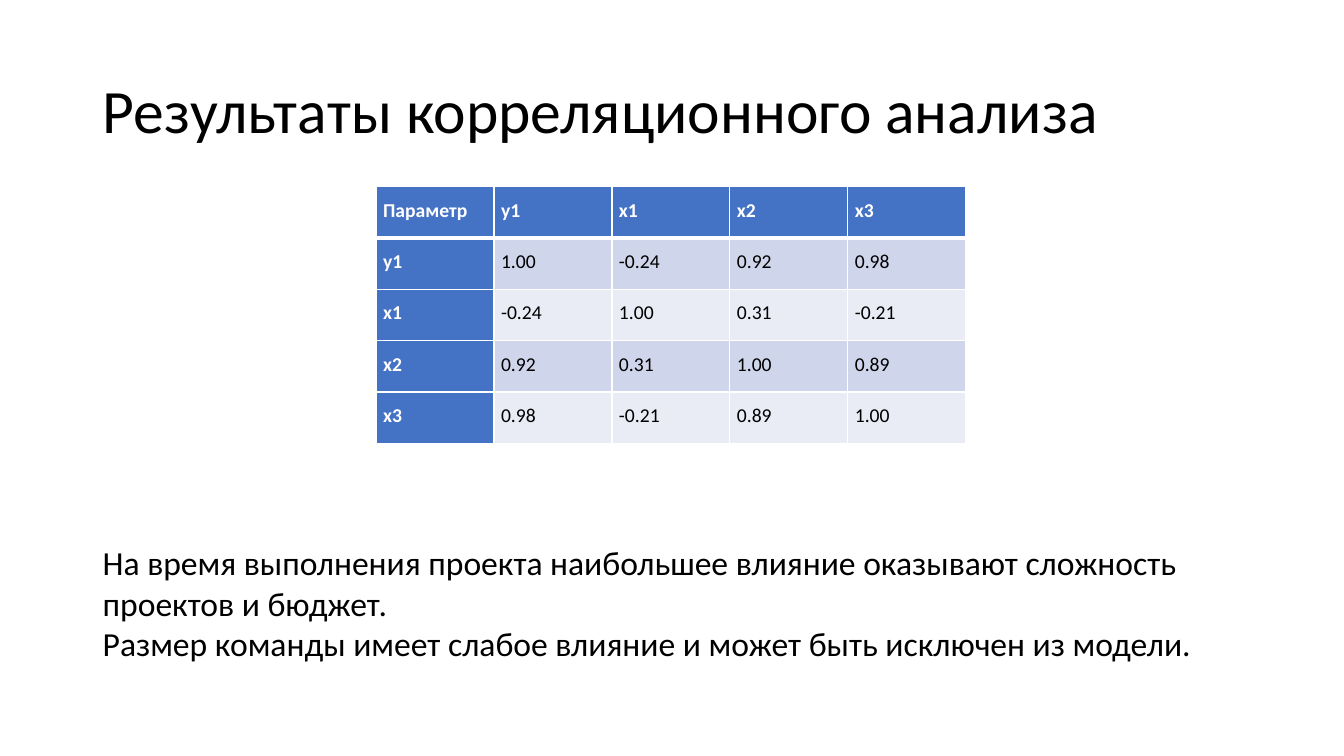
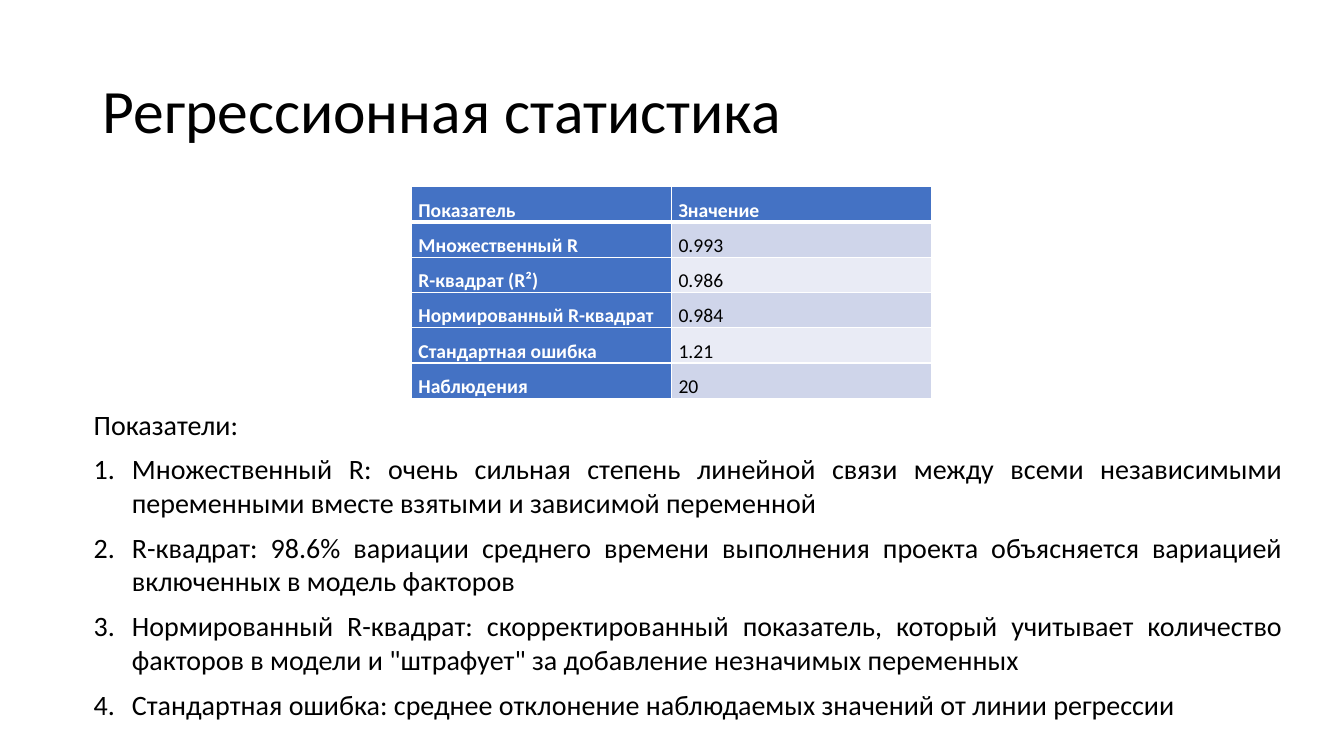
from dataclasses import dataclass

from lxml import etree
from pptx import Presentation
from pptx.dml.color import RGBColor
from pptx.enum.text import MSO_ANCHOR, MSO_AUTO_SIZE, PP_ALIGN
from pptx.oxml.ns import qn
from pptx.slide import Slide
from pptx.table import _Cell
from pptx.text.text import _Paragraph
from pptx.util import Inches, Length, Pt

FONT = "Calibri"
BLACK = RGBColor(0x00, 0x00, 0x00)
WHITE = RGBColor(0xFF, 0xFF, 0xFF)
HEADER_BLUE = RGBColor(0x44, 0x72, 0xC4)
BANDS = (RGBColor(0xCF, 0xD5, 0xEA), RGBColor(0xE9, 0xEB, 0xF5))
LEFT, JUSTIFY = PP_ALIGN.LEFT, PP_ALIGN.JUSTIFY
TOP, MIDDLE = MSO_ANCHOR.TOP, MSO_ANCHOR.MIDDLE
FIT_SHAPE, NO_FIT = MSO_AUTO_SIZE.SHAPE_TO_FIT_TEXT, MSO_AUTO_SIZE.NONE
BLANK_LAYOUT = 6
TABLE_TOP = Inches(1.85)
NUMBER_INDENT = Inches(0.38)
SPACE_AFTER = Pt(8)
THIN, THICK = Pt(1), Pt(3)


@dataclass(frozen=True)
class Box:
    left: Length
    top: Length
    width: Length
    height: Length


@dataclass(frozen=True)
class TextStyle:
    size: int
    color: RGBColor = BLACK
    bold: bool = False
    align: PP_ALIGN = LEFT
    line_spacing: float = 1.0
    space_after: Length = Pt(0)


@dataclass(frozen=True)
class StatTable:
    left: Length
    column_width: Length
    row_height: Length
    align: PP_ALIGN
    rows: tuple[tuple[str, ...], ...]


@dataclass(frozen=True)
class Comment:
    box: Box
    style: TextStyle
    lines: tuple[str, ...]
    numbered_from: int | None = None


@dataclass(frozen=True)
class StatSlide:
    title: str
    table: StatTable
    comment: Comment


TITLE_BOX = Box(Inches(0.92), Inches(0.4), Inches(11.5), Inches(1.45))
TITLE_STYLE = TextStyle(44, line_spacing=0.9)

SLIDES = (
    StatSlide(
        "Результаты корреляционного анализа",
        StatTable(Inches(3.73), Inches(1.17), Inches(0.51), LEFT, (
            ("Параметр", "y1", "x1", "x2", "x3"),
            ("y1", "1.00", "-0.24", "0.92", "0.98"),
            ("x1", "-0.24", "1.00", "0.31", "-0.21"),
            ("x2", "0.92", "0.31", "1.00", "0.89"),
            ("x3", "0.98", "-0.21", "0.89", "1.00"),
        )),
        Comment(
            Box(Inches(0.92), Inches(5.33), Inches(11.5), Inches(1.62)),
            TextStyle(24),
            (
                "На время выполнения проекта наибольшее влияние оказывают сложность "
                "проектов и бюджет.",
                "Размер команды имеет слабое влияние и может быть исключен из модели.",
            ),
        ),
    ),
    StatSlide(
        "Регрессионная статистика",
        StatTable(Inches(4.08), Inches(2.58), Inches(0.31), JUSTIFY, (
            ("Показатель", "Значение"),
            ("Множественный R", "0.993"),
            ("R-квадрат (R²)", "0.986"),
            ("Нормированный R-квадрат", "0.984"),
            ("Стандартная ошибка", "1.21"),
            ("Наблюдения", "20"),
        )),
        Comment(
            Box(Inches(0.83), Inches(3.99), Inches(11.99), Inches(3.24)),
            TextStyle(20, align=JUSTIFY, space_after=SPACE_AFTER),
            (
                "Показатели:",
                "Множественный R: очень сильная степень линейной связи между всеми "
                "независимыми переменными вместе взятыми и зависимой переменной",
                "R-квадрат: 98.6% вариации среднего времени выполнения проекта "
                "объясняется вариацией включенных в модель факторов",
                "Нормированный R-квадрат: скорректированный показатель, который "
                "учитывает количество факторов в модели и \"штрафует\" за добавление "
                "незначимых переменных",
                "Стандартная ошибка: среднее отклонение наблюдаемых значений от линии "
                "регрессии",
            ),
            numbered_from=1,
        ),
    ),
)


def write(paragraph: _Paragraph, text: str, style: TextStyle) -> None:
    paragraph.text = text
    paragraph.alignment = style.align
    paragraph.line_spacing = style.line_spacing
    paragraph.space_after = style.space_after
    font = paragraph.font
    font.name, font.size, font.bold = FONT, Pt(style.size), style.bold
    font.color.rgb = style.color


def number(paragraph: _Paragraph) -> None:
    """Make the paragraph an item of a 1. 2. 3. list with a hanging indent."""
    properties = paragraph._p.get_or_add_pPr()
    properties.set("marL", str(NUMBER_INDENT))
    properties.set("indent", str(-NUMBER_INDENT))
    bullet = etree.Element(qn("a:buAutoNum"), type="arabicPeriod")
    # Bullets come before the default run properties in the schema.
    run_defaults = properties.find(qn("a:defRPr"))
    if run_defaults is None:
        properties.append(bullet)
    else:
        run_defaults.addprevious(bullet)


def add_text(slide: Slide, box: Box, lines: tuple[str, ...], style: TextStyle,
             anchor: MSO_ANCHOR = TOP, fit: MSO_AUTO_SIZE = FIT_SHAPE,
             numbered_from: int | None = None) -> None:
    frame = slide.shapes.add_textbox(box.left, box.top, box.width, box.height).text_frame
    frame.word_wrap = True
    frame.auto_size = fit
    frame.vertical_anchor = anchor
    for index, line in enumerate(lines):
        paragraph = frame.add_paragraph() if index else frame.paragraphs[0]
        write(paragraph, line, style)
        if numbered_from is not None and index >= numbered_from:
            number(paragraph)


def set_borders(cell: _Cell, top: Length, bottom: Length) -> None:
    properties = cell._tc.get_or_add_tcPr()
    for side, width in (("L", THIN), ("R", THIN), ("T", top), ("B", bottom)):
        line = etree.SubElement(properties, qn(f"a:ln{side}"), w=str(width))
        fill = etree.SubElement(line, qn("a:solidFill"))
        etree.SubElement(fill, qn("a:srgbClr"), val=str(WHITE))


def add_stat_table(slide: Slide, spec_table: StatTable) -> None:
    row_count, column_count = len(spec_table.rows), len(spec_table.rows[0])
    table = slide.shapes.add_table(
        row_count, column_count, spec_table.left, TABLE_TOP,
        spec_table.column_width * column_count, spec_table.row_height * row_count,
    ).table
    table.first_row = table.horz_banding = False
    for row, values in enumerate(spec_table.rows):
        for column, value in enumerate(values):
            cell = table.cell(row, column)
            heading = row == 0 or column == 0
            cell.margin_left = cell.margin_right = Inches(0.07)
            cell.margin_top = cell.margin_bottom = Inches(0)
            set_borders(cell, top=THICK if row == 1 else THIN,
                        bottom=THICK if row == 0 else THIN)
            cell.fill.solid()
            cell.fill.fore_color.rgb = HEADER_BLUE if heading else BANDS[(row - 1) % 2]
            style = TextStyle(14, WHITE if heading else BLACK, heading,
                              spec_table.align, 1.5, SPACE_AFTER)
            write(cell.text_frame.paragraphs[0], value, style)


def main() -> None:
    presentation = Presentation()
    presentation.slide_width = Inches(13.33)
    presentation.slide_height = Inches(7.5)
    for content in SLIDES:
        slide = presentation.slides.add_slide(presentation.slide_layouts[BLANK_LAYOUT])
        add_text(slide, TITLE_BOX, (content.title,), TITLE_STYLE, MIDDLE, NO_FIT)
        add_stat_table(slide, content.table)
        comment = content.comment
        add_text(slide, comment.box, comment.lines, comment.style,
                 numbered_from=comment.numbered_from)
    presentation.save("out.pptx")


if __name__ == "__main__":
    main()
